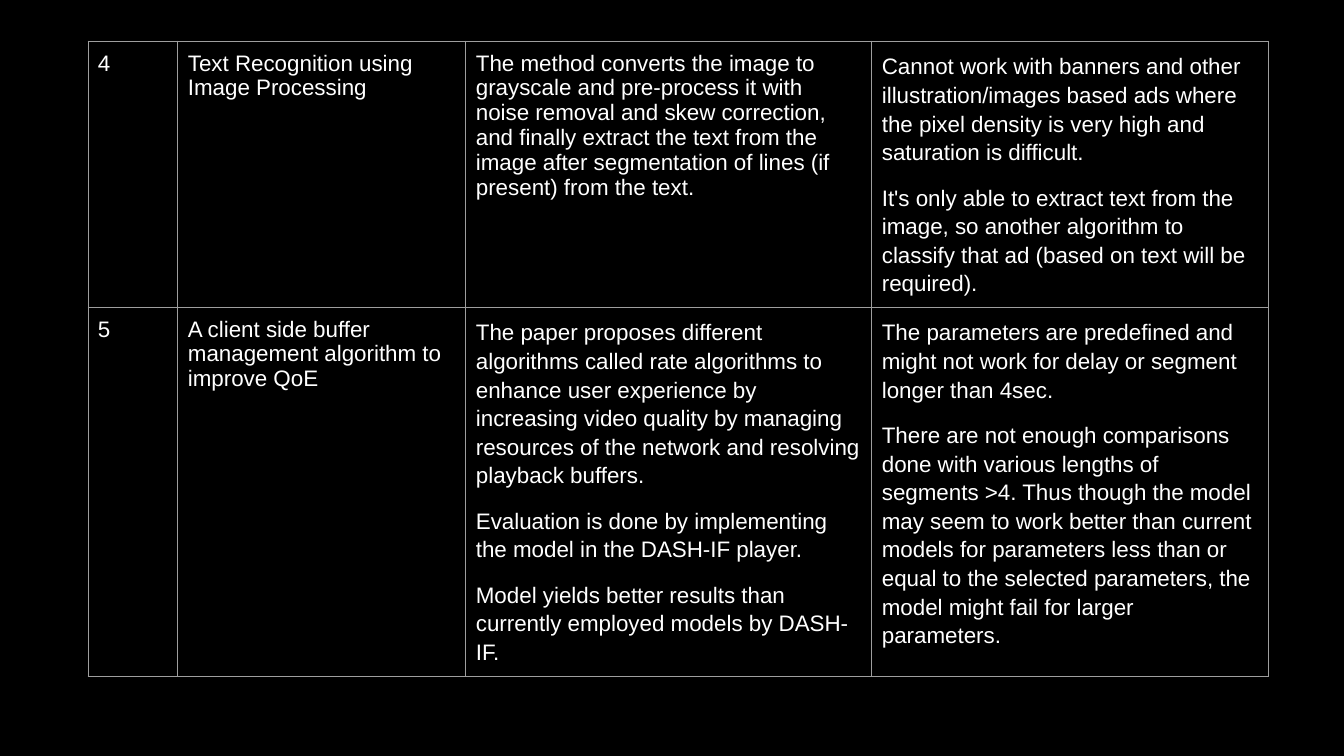
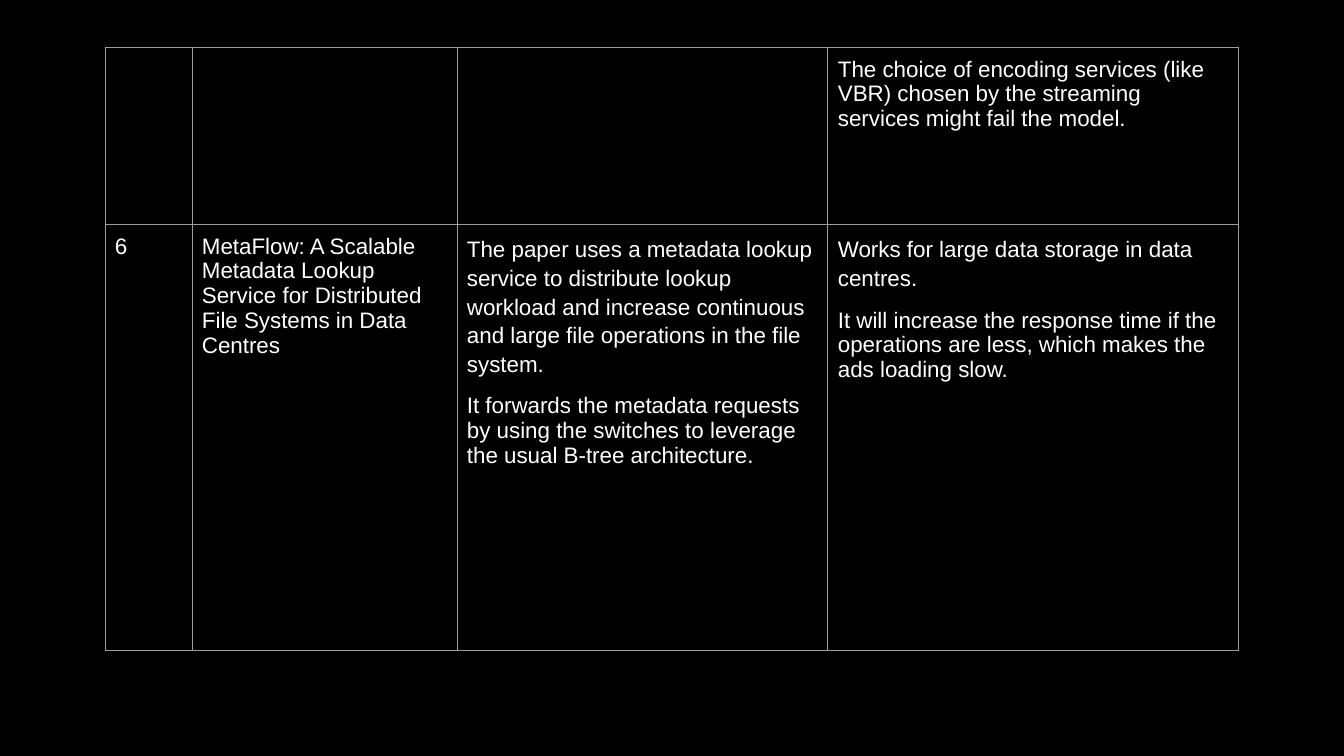
from dataclasses import dataclass

import pptx
import pptx.dml.color
import pptx.oxml.ns
import pptx.slide
import pptx.table
import pptx.text.text
import pptx.util
from lxml import etree

# Shared style
EMU_PER_PX = 914400 / 100.8
SLIDE_W, SLIDE_H = 1344, 756
BLACK = pptx.dml.color.RGBColor(0x00, 0x00, 0x00)
WHITE = pptx.dml.color.RGBColor(0xFF, 0xFF, 0xFF)
GREY = pptx.dml.color.RGBColor(0x9E, 0x9E, 0x9E)
FONT = "Arial"
CELL_INSET = 10
BORDER_PT = 0.75


@dataclass(frozen=True)
class Para:
    text: str
    line_spacing: float | None = None
    before: int = 0
    after: int = 0


@dataclass(frozen=True)
class PaperTable:
    left: int
    top: int
    cols: tuple[int, ...]
    rows: tuple[int, ...]
    cells: list[list[list[Para]]]


def px(n: int) -> pptx.util.Emu:
    return pptx.util.Emu(round(n * EMU_PER_PX))


def plain(text: str) -> list[Para]:
    return [Para(text)]


def spaced(text: str, after: int = 0) -> Para:
    return Para(text, line_spacing=1.15, before=12, after=after)


# Content: number, paper, method, limitations
TABLES = [
    PaperTable(
        88, 41, (90, 288, 406, 397), (266, 369),
        [
            [
                plain("4"),
                plain("Text Recognition using Image Processing"),
                plain("The method converts the image to grayscale and pre-process it with "
                      "noise removal and skew correction, and finally extract the text from "
                      "the image after segmentation of lines (if present) from the text."),
                [
                    spaced("Cannot work with banners and other illustration/images based ads "
                           "where the pixel density is very high and saturation is difficult."),
                    spaced("It's only able to extract text from the image, so another algorithm "
                           "to classify that ad (based on text will be required).", after=12),
                ],
            ],
            [
                plain("5"),
                plain("A client side buffer management algorithm to improve QoE"),
                [
                    spaced("The paper proposes different algorithms called rate algorithms to "
                           "enhance user experience by increasing video quality by managing "
                           "resources of the network and resolving playback buffers."),
                    spaced("Evaluation is done by implementing the model in the DASH-IF player."),
                    spaced("Model yields better results than currently employed models by "
                           "DASH-IF.", after=12),
                ],
                [
                    spaced("The parameters are predefined and might not work for delay or "
                           "segment longer than 4sec."),
                    spaced("There are not enough comparisons done with various lengths of "
                           "segments >4. Thus though the model may seem to work better than "
                           "current models for parameters less than or equal to the selected "
                           "parameters, the model might fail for larger parameters.", after=12),
                ],
            ],
        ],
    ),
    PaperTable(
        105, 47, (87, 265, 371, 411), (177, 426),
        [
            [
                [],
                [],
                [],
                plain("The choice of encoding services (like VBR) chosen by the streaming "
                      "services might fail the model."),
            ],
            [
                plain("6"),
                plain("MetaFlow: A Scalable Metadata Lookup Service for Distributed File "
                      "Systems in Data Centres"),
                [
                    spaced("The paper uses a metadata lookup service to distribute lookup "
                           "workload and increase continuous and large file operations in "
                           "the file system."),
                    Para("It forwards the metadata requests by using the switches to leverage "
                         "the usual B-tree architecture.", before=12),
                ],
                [
                    spaced("Works for large data storage in data centres."),
                    Para("It will increase the response time if the operations are less, "
                         "which makes the ads loading slow.", before=12),
                ],
            ],
        ],
    ),
]


# Drawing
def write(p: pptx.text.text._Paragraph, text: str, *, size: int = 16,
          color: pptx.dml.color.RGBColor = WHITE, line_spacing: float | None = None,
          before: int = 0, after: int = 0) -> None:
    p.line_spacing = line_spacing
    p.space_before = pptx.util.Pt(before)
    p.space_after = pptx.util.Pt(after)
    r = p.add_run()
    r.text = text
    r.font.name = FONT
    r.font.size = pptx.util.Pt(size)
    r.font.color.rgb = color


def add_borders(cell: pptx.table._Cell) -> None:
    """Outline all four sides; border elements come first in tcPr."""
    qn = pptx.oxml.ns.qn
    tc_pr = cell._tc.get_or_add_tcPr()
    for i, side in enumerate(("lnL", "lnR", "lnT", "lnB")):
        ln = etree.Element(qn(f"a:{side}"), w=str(pptx.util.Pt(BORDER_PT)))
        fill = etree.SubElement(ln, qn("a:solidFill"))
        etree.SubElement(fill, qn("a:srgbClr"), val=str(GREY))
        tc_pr.insert(i, ln)


def fill_cell(cell: pptx.table._Cell, paras: list[Para]) -> None:
    cell.fill.background()
    cell.margin_left = cell.margin_right = px(CELL_INSET)
    cell.margin_top = cell.margin_bottom = px(CELL_INSET)
    add_borders(cell)
    tf = cell.text_frame
    for i, para in enumerate(paras):
        p = tf.add_paragraph() if i else tf.paragraphs[0]
        write(p, para.text, line_spacing=para.line_spacing,
              before=para.before, after=para.after)


def add_paper_table(s: pptx.slide.Slide, spec: PaperTable) -> None:
    table = s.shapes.add_table(
        len(spec.rows), len(spec.cols), px(spec.left), px(spec.top),
        px(sum(spec.cols)), px(sum(spec.rows))).table
    table.first_row = table.horz_banding = False
    for col, width in zip(table.columns, spec.cols):
        col.width = px(width)
    for row, height, contents in zip(table.rows, spec.rows, spec.cells):
        row.height = px(height)
        for cell, paras in zip(row.cells, contents):
            fill_cell(cell, paras)


def main() -> None:
    prs = pptx.Presentation()
    prs.slide_width, prs.slide_height = px(SLIDE_W), px(SLIDE_H)
    # Black background for every slide, set on the master
    bg = prs.slide_master.background.fill
    bg.solid()
    bg.fore_color.rgb = BLACK
    blank = prs.slide_layouts.get_by_name("Blank")
    for spec in TABLES:
        add_paper_table(prs.slides.add_slide(blank), spec)
    prs.save("out.pptx")


if __name__ == "__main__":
    main()
